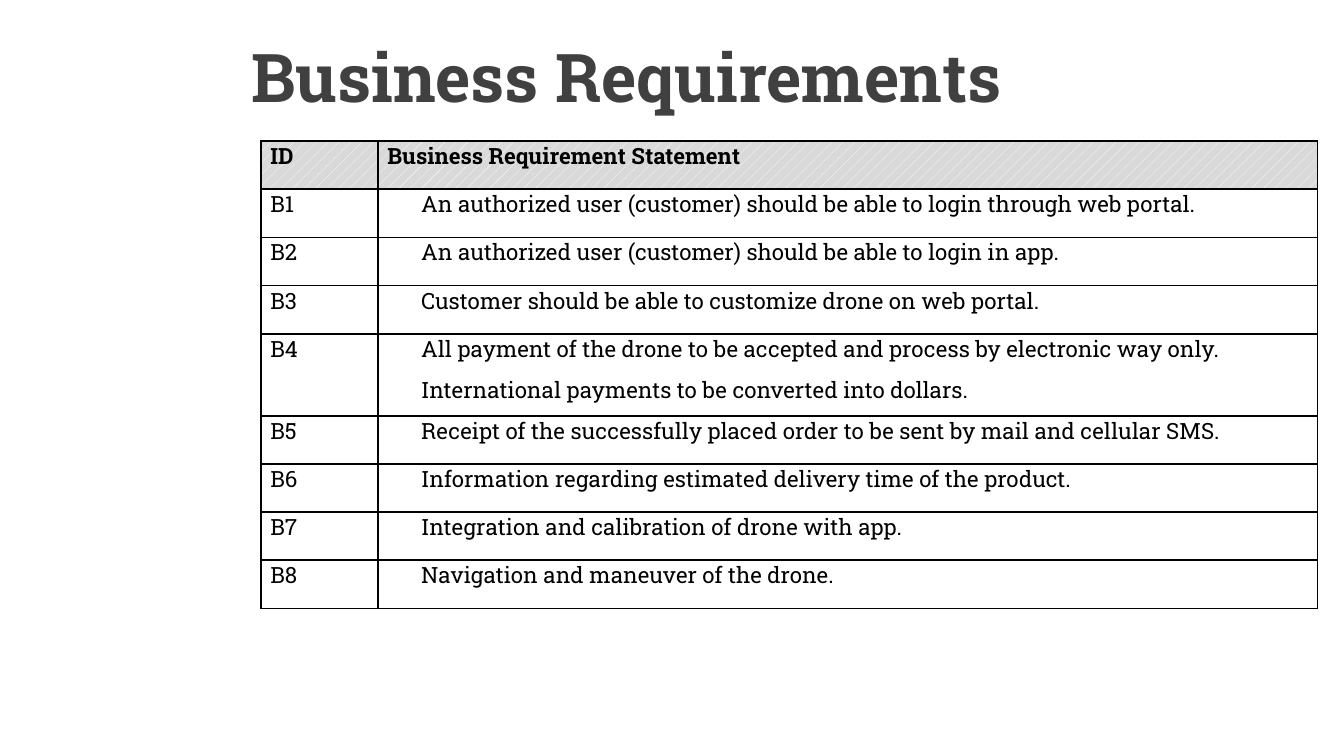
from lxml.etree import SubElement
from pptx import Presentation
from pptx.dml.color import RGBColor
from pptx.enum.dml import MSO_PATTERN
from pptx.enum.text import MSO_ANCHOR
from pptx.oxml.ns import qn
from pptx.util import Pt

FONT = "Roboto Slab"
BLACK = RGBColor(0x00, 0x00, 0x00)
WHITE = RGBColor(0xFF, 0xFF, 0xFF)
CHARCOAL = RGBColor(0x40, 0x40, 0x40)
SILVER = RGBColor(0xD9, 0xD9, 0xD9)

LINE_HEIGHT = 25.8
EXTRA_LINE_HEIGHT = 18.2
STATEMENT_INDENT = 18

HEADINGS = ("ID", "Business Requirement Statement")
REQUIREMENTS = [
    ["An authorized user (customer) should be able to login through web portal."],
    ["An authorized user (customer) should be able to login in app."],
    ["Customer should be able to customize drone on web portal."],
    ["All payment of the drone to be accepted and process by electronic way only.",
     "International payments to be converted into dollars."],
    ["Receipt of the successfully placed order to be sent by mail and cellular SMS."],
    ["Information regarding estimated delivery time of the product."],
    ["Integration and calibration of drone with app."],
    ["Navigation and maneuver of the drone."],
]


def write_text(frame, lines, size=12, color=BLACK, bold=False, space_after=0, indent=0):
    frame.word_wrap = True
    for index, line in enumerate(lines):
        para = frame.paragraphs[0] if index == 0 else frame.add_paragraph()
        para.space_after = Pt(space_after)
        if indent:
            properties = para._p.get_or_add_pPr()
            properties.set("marL", str(Pt(indent)))
            properties.set("indent", "0")
        span = para.add_run()
        span.text = line
        span.font.name = FONT
        span.font.size = Pt(size)
        span.font.bold = bold
        span.font.color.rgb = color


def add_borders(cell, color=BLACK, width=1):
    """Line all four sides; call before filling, as borders come first in the XML."""
    properties = cell._tc.get_or_add_tcPr()
    for side in ("a:lnL", "a:lnR", "a:lnT", "a:lnB"):
        line = SubElement(properties, qn(side), w=str(Pt(width)))
        fill = SubElement(line, qn("a:solidFill"))
        SubElement(fill, qn("a:srgbClr"), val=str(color))


def format_cell(cell, lines, header=False, indent=0):
    cell.margin_left = cell.margin_right = Pt(5)
    cell.margin_top = cell.margin_bottom = Pt(0)
    add_borders(cell)
    if header:
        cell.fill.patterned()
        cell.fill.pattern = MSO_PATTERN.PERCENT_20
        cell.fill.fore_color.rgb = WHITE
        cell.fill.back_color.rgb = SILVER
    else:
        cell.fill.background()
    write_text(cell.text_frame, lines, bold=header, space_after=6, indent=indent)


def add_title(page, left, top, width, height):
    box = page.shapes.add_textbox(Pt(left), Pt(top), Pt(width), Pt(height))
    box.text_frame.vertical_anchor = MSO_ANCHOR.MIDDLE
    write_text(box.text_frame, ["Business Requirements"], size=36, color=CHARCOAL, bold=True)


def add_requirements_table(page, left, top, width, id_width):
    heights = [LINE_HEIGHT] + [
        LINE_HEIGHT + EXTRA_LINE_HEIGHT * (len(lines) - 1) for lines in REQUIREMENTS
    ]
    table = page.shapes.add_table(
        len(heights), 2, Pt(left), Pt(top), Pt(width), Pt(sum(heights))
    ).table
    table.first_row = table.horz_banding = False
    table.columns[0].width = Pt(id_width)
    table.columns[1].width = Pt(width - id_width)
    for row, height in zip(table.rows, heights):
        row.height = Pt(height)

    for column, heading in enumerate(HEADINGS):
        format_cell(table.cell(0, column), [heading], header=True)
    for number, lines in enumerate(REQUIREMENTS, start=1):
        format_cell(table.cell(number, 0), [f"B{number}"])
        format_cell(table.cell(number, 1), lines, indent=STATEMENT_INDENT)


def main():
    deck = Presentation()
    deck.slide_width, deck.slide_height = Pt(720), Pt(405)
    page = deck.slides.add_slide(deck.slide_layouts[6])
    add_title(page, left=127.5, top=3.6, width=592.5, height=73.4)
    add_requirements_table(page, left=139.8, top=75.6, width=566, id_width=62.8)
    deck.save("out.pptx")


if __name__ == "__main__":
    main()
